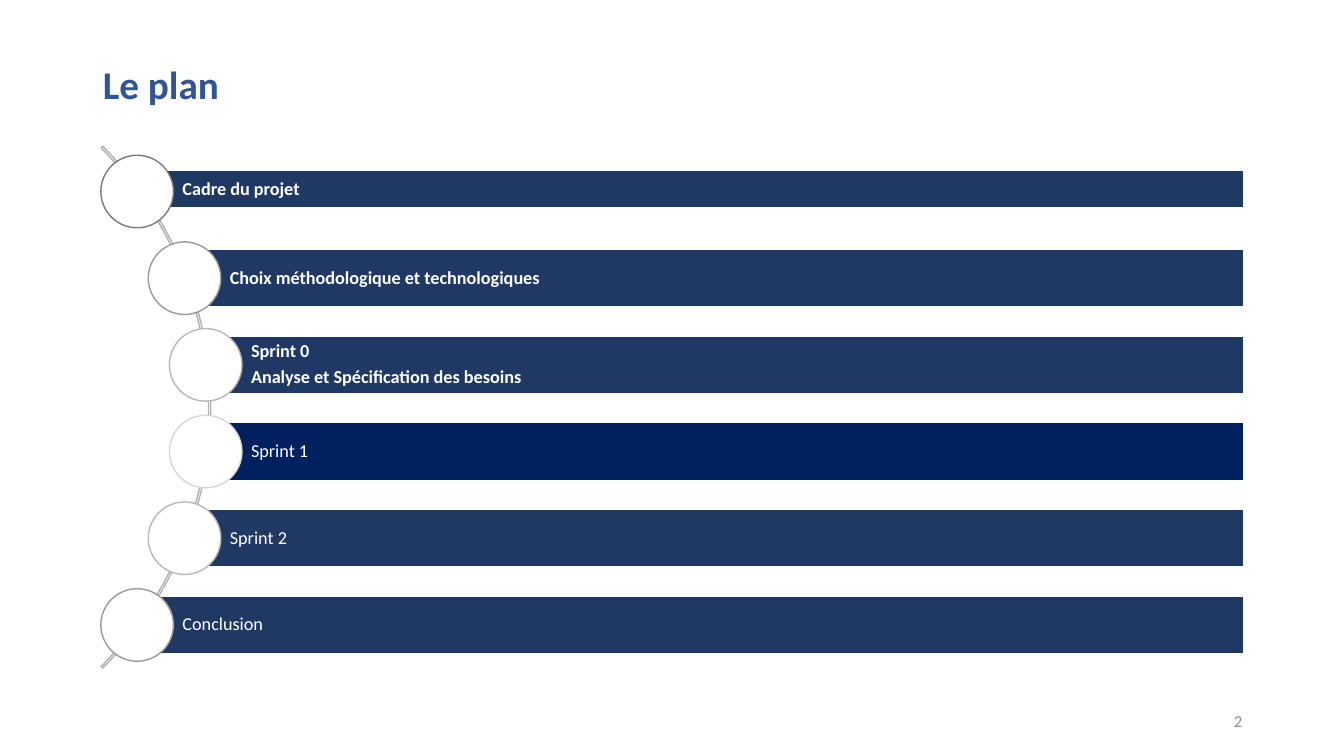
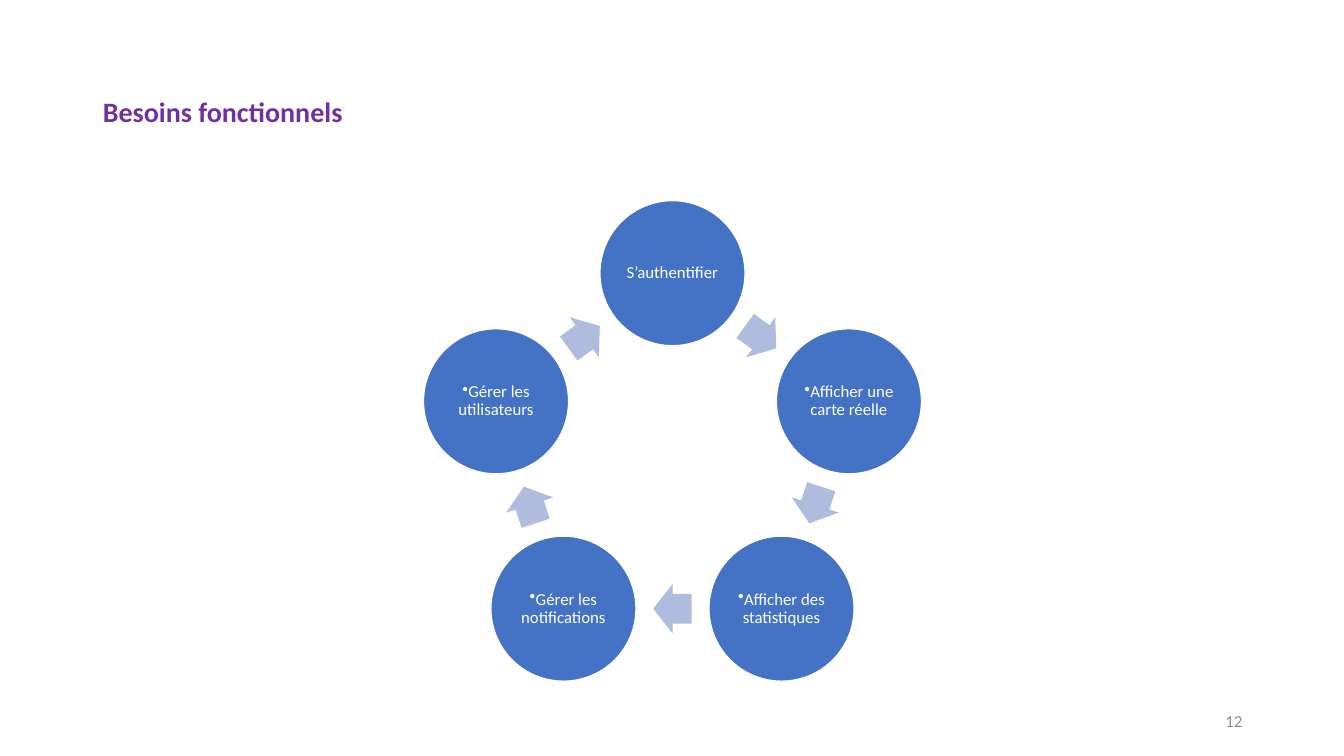
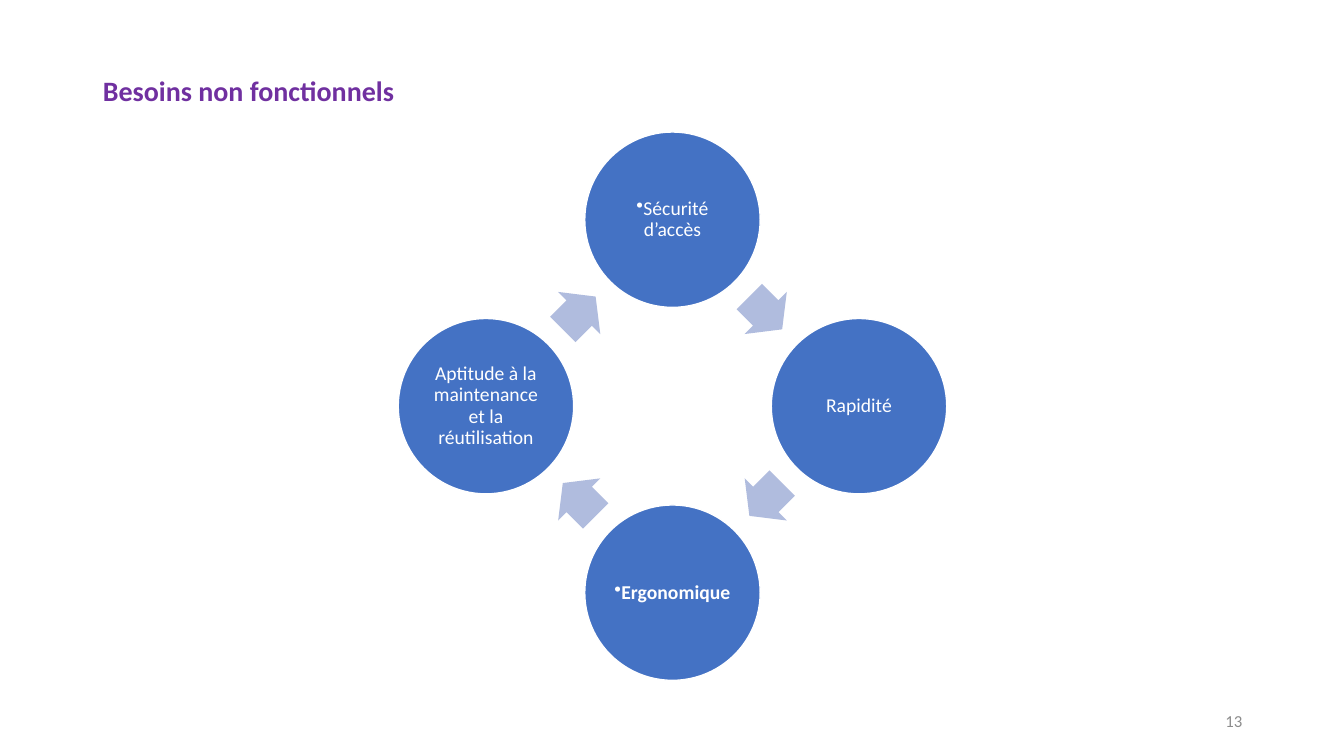
from math import cos, pi, sin

from lxml import etree
from pptx import Presentation
from pptx.dml.color import RGBColor
from pptx.enum.shapes import MSO_SHAPE
from pptx.enum.text import MSO_ANCHOR, PP_ALIGN
from pptx.oxml.ns import qn
from pptx.util import Inches, Pt

LEFT, CENTER, RIGHT = PP_ALIGN.LEFT, PP_ALIGN.CENTER, PP_ALIGN.RIGHT
MIDDLE = MSO_ANCHOR.MIDDLE
ARC, RECTANGLE = MSO_SHAPE.BLOCK_ARC, MSO_SHAPE.RECTANGLE
ELLIPSE, ARROW = MSO_SHAPE.OVAL, MSO_SHAPE.RIGHT_ARROW

FONT = "Calibri"
WHITE, GREY = "FFFFFF", "8C8C8C"
BLUE, PURPLE = "2F5597", "7030A0"
NAVY, ACTIVE_NAVY = "203864", "002060"
NODE_BLUE, ARROW_BLUE, ARC_GREY = "4472C4", "B0BCDE", "B1B1B1"

# Lines, bold, circle centre, bar height, bar colour, ring colour
PLAN = [
    (["Cadre du projet"], True, 1.36, 0.37, NAVY, "7A7A7A"),
    (["Choix méthodologique et technologiques"], True, 1.83, 0.57, NAVY, "999999"),
    (["Sprint 0", "Analyse et Spécification des besoins"], True, 2.04, 0.57, NAVY, "B7B7B7"),
    (["Sprint 1"], False, 2.04, 0.57, ACTIVE_NAVY, "D6D6D6"),
    (["Sprint 2"], False, 1.83, 0.57, NAVY, "B7B7B7"),
    (["Conclusion"], False, 1.36, 0.57, NAVY, "999999"),
]
PLAN_TOP, PLAN_STEP, PLAN_RIGHT = 1.9, 0.86, 12.34
DISC = 0.72

# Each node: text, bulleted, bold
CYCLES = [
    {
        "title": "Besoins fonctionnels", "title_height": 1.45, "number": 12,
        "center_y": 4.55, "radius": 1.84, "diameter": 1.44, "size": 12,
        "nodes": [
            ("S’authentifier", False, False),
            ("Afficher une carte réelle", True, False),
            ("Afficher des statistiques", True, False),
            ("Gérer les notifications", True, False),
            ("Gérer les utilisateurs", True, False),
        ],
    },
    {
        "title": "Besoins non fonctionnels", "title_height": 1.04, "number": 13,
        "center_y": 4.03, "radius": 1.85, "diameter": 1.74, "size": 14,
        "nodes": [
            ("Sécurité d’accès", True, False),
            ("Rapidité", False, False),
            ("Ergonomique", True, True),
            ("Aptitude à la maintenance et la réutilisation", False, False),
        ],
    },
]
CYCLE_X = 6.67


def color(value):
    return RGBColor.from_string(value)


def style(para, size, hex_color, bold=False, align=LEFT, spacing=0.9):
    para.alignment = align
    para.line_spacing = spacing
    font = para.font
    font.name, font.size, font.bold = FONT, Pt(size), bold
    font.color.rgb = color(hex_color)


def add_bullet(para):
    properties = para._p.get_or_add_pPr()
    properties.set("marL", "0")
    properties.set("indent", "0")
    etree.SubElement(properties, qn("a:buChar")).set("char", "•")
    # The schema wants the bullet ahead of the default run properties.
    defaults = properties.find(qn("a:defRPr"))
    if defaults is not None:
        properties.append(defaults)


def add_shape(page, kind, center, size, fill=None, line=None):
    """Place a preset shape by its centre, in inches."""
    (x, y), (width, height) = center, size
    shape = page.shapes.add_shape(
        kind, Inches(x - width / 2), Inches(y - height / 2), Inches(width), Inches(height))
    shape.shadow.inherit = False
    if fill:
        shape.fill.solid()
        shape.fill.fore_color.rgb = color(fill)
    else:
        shape.fill.background()
    if line:
        shape.line.color.rgb = color(line)
        shape.line.width = Pt(1)
    else:
        shape.line.fill.background()
    return shape


def write(shape, lines, size, left, inset, bold=False, align=LEFT, bulleted=False):
    """Fill a shape with white text; left and inset are its margins in inches."""
    frame = shape.text_frame
    frame.word_wrap = True
    frame.vertical_anchor = MIDDLE
    frame.margin_left = Inches(left)
    frame.margin_top = frame.margin_right = frame.margin_bottom = Inches(inset)
    frame.text = "\n".join(lines)
    for para in frame.paragraphs:
        style(para, size, WHITE, bold, align)
        para.space_after = Pt(round(0.35 * size, 1))
        if bulleted:
            add_bullet(para)


def add_page(deck, title, height, size, title_color, number):
    page = deck.slides.add_slide(deck.slide_layouts[5])
    heading = page.shapes.title
    heading.left, heading.top = Inches(0.92), Inches(0.4)
    heading.width, heading.height = Inches(11.5), Inches(height)
    heading.text_frame.text = title
    heading.text_frame.vertical_anchor = MIDDLE
    style(heading.text_frame.paragraphs[0], size, title_color, bold=True)

    box = page.shapes.add_textbox(Inches(9.42), Inches(6.95), Inches(3), Inches(0.4))
    box.text_frame.word_wrap = True
    box.text_frame.vertical_anchor = MIDDLE
    box.text_frame.text = str(number)
    style(box.text_frame.paragraphs[0], 12, GREY, align=RIGHT, spacing=1.0)
    return page


def add_plan(deck):
    page = add_page(deck, "Le plan", 0.92, 28, BLUE, 2)
    arc = add_shape(page, ARC, (-1.57, 4.04), (7.32, 7.32), line=ARC_GREY)
    for index, value in enumerate((189, 27, 0.003)):
        arc.adjustments[index] = value
    for row, (lines, bold, x, height, fill, ring) in enumerate(PLAN):
        y = PLAN_TOP + row * PLAN_STEP
        bar_y = y - 0.02 if row == 0 else y
        bar = add_shape(page, RECTANGLE, ((x + PLAN_RIGHT) / 2, bar_y),
                        (PLAN_RIGHT - x, height), fill, WHITE)
        write(bar, lines, 13, 0.45, 0.04, bold)
        add_shape(page, ELLIPSE, (x, y), (DISC, DISC), WHITE, ring)


def add_cycle(deck, cycle):
    page = add_page(deck, cycle["title"], cycle["title_height"], 20, PURPLE, cycle["number"])
    nodes, diameter = cycle["nodes"], cycle["diameter"]
    step = 2 * pi / len(nodes)
    centers = [(CYCLE_X + cycle["radius"] * sin(index * step),
                cycle["center_y"] - cycle["radius"] * cos(index * step))
               for index in range(len(nodes))]
    for index, (text, bulleted, bold) in enumerate(nodes):
        x, y = centers[index]
        next_x, next_y = centers[(index + 1) % len(nodes)]
        node = add_shape(page, ELLIPSE, (x, y), (diameter, diameter), NODE_BLUE, WHITE)
        write(node, [text], cycle["size"], 0.02, 0.02, bold, CENTER, bulleted)
        arrow = add_shape(page, ARROW, ((x + next_x) / 2, (y + next_y) / 2),
                          (0.265 * diameter, 0.34 * diameter), ARROW_BLUE)
        arrow.adjustments[0], arrow.adjustments[1] = 0.6, 0.5
        arrow.rotation = 360 / len(nodes) * (index + 0.5)


def main():
    deck = Presentation()
    deck.slide_width, deck.slide_height = Inches(13.33), Inches(7.5)
    add_plan(deck)
    for cycle in CYCLES:
        add_cycle(deck, cycle)
    deck.save("out.pptx")


if __name__ == "__main__":
    main()
